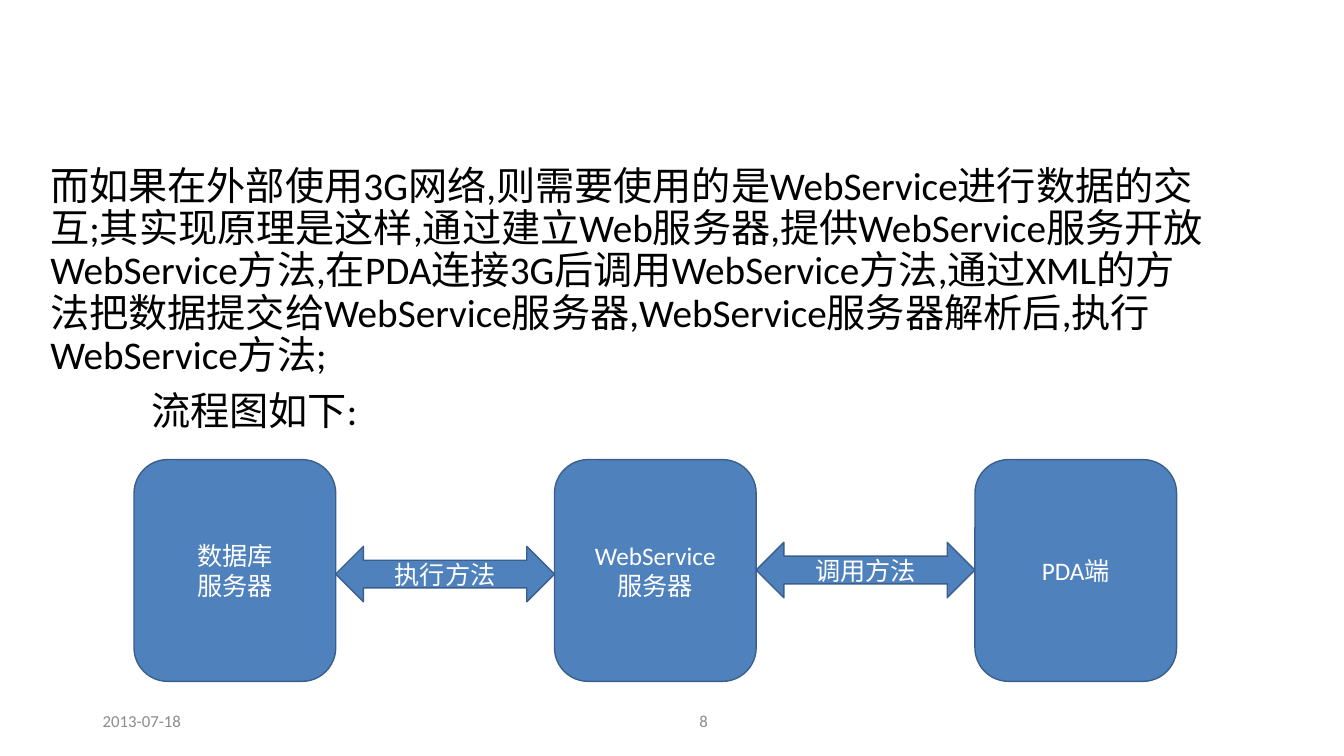
from pptx import Presentation
from pptx.dml.color import RGBColor as Rgb
from pptx.enum.shapes import MSO_SHAPE as Kind
from pptx.enum.text import MSO_ANCHOR as Anchor, PP_ALIGN as Align
from pptx.util import Pt

PX = 9144  # EMU in one px, 100 px to the inch
HUES = {"fill": "4F81BD", "edge": "3A5F8C", "white": "FFFFFF",
        "ink": "000000", "grey": "8C8C8C"}
FORMS = {
    "body": {"size": Pt(28), "name": "Calibri", "hue": "ink"},
    "node": {"size": Pt(18), "name": "Calibri", "hue": "white"},
    "foot": {"size": Pt(12), "name": "Calibri", "hue": "grey"},
}
INTRO = ("而如果在外部使用3G网络,则需要使用的是WebService进行数据的交互;"
         "其实现原理是这样,通过建立Web服务器,提供WebService服务开放WebService方法,"
         "在PDA连接3G后调用WebService方法,通过XML的方法把数据提交给WebService服务器,"
         "WebService服务器解析后,执行WebService方法;")
NODES = [["数据库", "服务器"], ["WebService", "服务器"], ["PDA端"]]
LINKS = [("执行方法", 86), ("调用方法", 82)]  # label, drop below the nodes' top


def write(shape, lines, form, align=Align.LEFT, anchor=Anchor.MIDDLE):
    frame = shape.text_frame
    frame.word_wrap = True
    frame.vertical_anchor = anchor
    frame.text = "\n".join(lines)
    for para in frame.paragraphs:
        para.alignment = align
        for key, value in FORMS[form].items():
            if key == "hue":
                para.font.color.rgb = Rgb.from_string(HUES[value])
            else:
                setattr(para.font, key, value)
    return frame.paragraphs


def label(slide, box, lines, form, **look):
    text = slide.shapes.add_textbox(*(n * PX for n in box))
    return write(text, lines, form, **look)


def block(slide, kind, box, lines):
    shape = slide.shapes.add_shape(kind, *(n * PX for n in box))
    shape.shadow.inherit = False
    shape.fill.solid()
    shape.fill.fore_color.rgb = Rgb.from_string(HUES["fill"])
    shape.line.color.rgb = Rgb.from_string(HUES["edge"])
    shape.line.width = Pt(1)
    write(shape, lines, "node", Align.CENTER)


def body(slide, box):
    paras = label(slide, box, [INTRO, "流程图如下:"], "body", anchor=Anchor.TOP)
    for para in paras:
        para.line_spacing = 0.9
    # The lead-in to the chart is indented by one inch
    paras[1].space_before = Pt(10)
    props = paras[1]._p.get_or_add_pPr()
    props.set("marL", str(100 * PX))
    props.set("indent", "0")


def flow(slide, box):
    left, top, width, height = box
    side = 200
    step = (width - side) // (len(NODES) - 1)
    # Server and device nodes
    for i, lines in enumerate(NODES):
        block(slide, Kind.ROUNDED_RECTANGLE,
              (left + i * step, top, side, height), lines)
    # Double arrows fill the gaps
    for i, (name, drop) in enumerate(LINKS):
        block(slide, Kind.LEFT_RIGHT_ARROW,
              (left + i * step + side, top + drop, step - side, 55), [name])


def foot(slide, box):
    left, top, width, height = box
    part = 300
    label(slide, (left, top, part, height), ["2013-07-18"], "foot")
    label(slide, (left + width - part, top, part, height), ["8"], "foot",
          align=Align.RIGHT)


def main():
    deck = Presentation()
    deck.slide_width, deck.slide_height = 1333 * PX, 750 * PX
    slide = deck.slides.add_slide(deck.slide_layouts[6])
    body(slide, (40, 160, 1171, 280))
    flow(slide, (133, 456, 1034, 220))
    foot(slide, (92, 695, 620, 40))
    deck.save("out.pptx")


if __name__ == "__main__":
    main()
